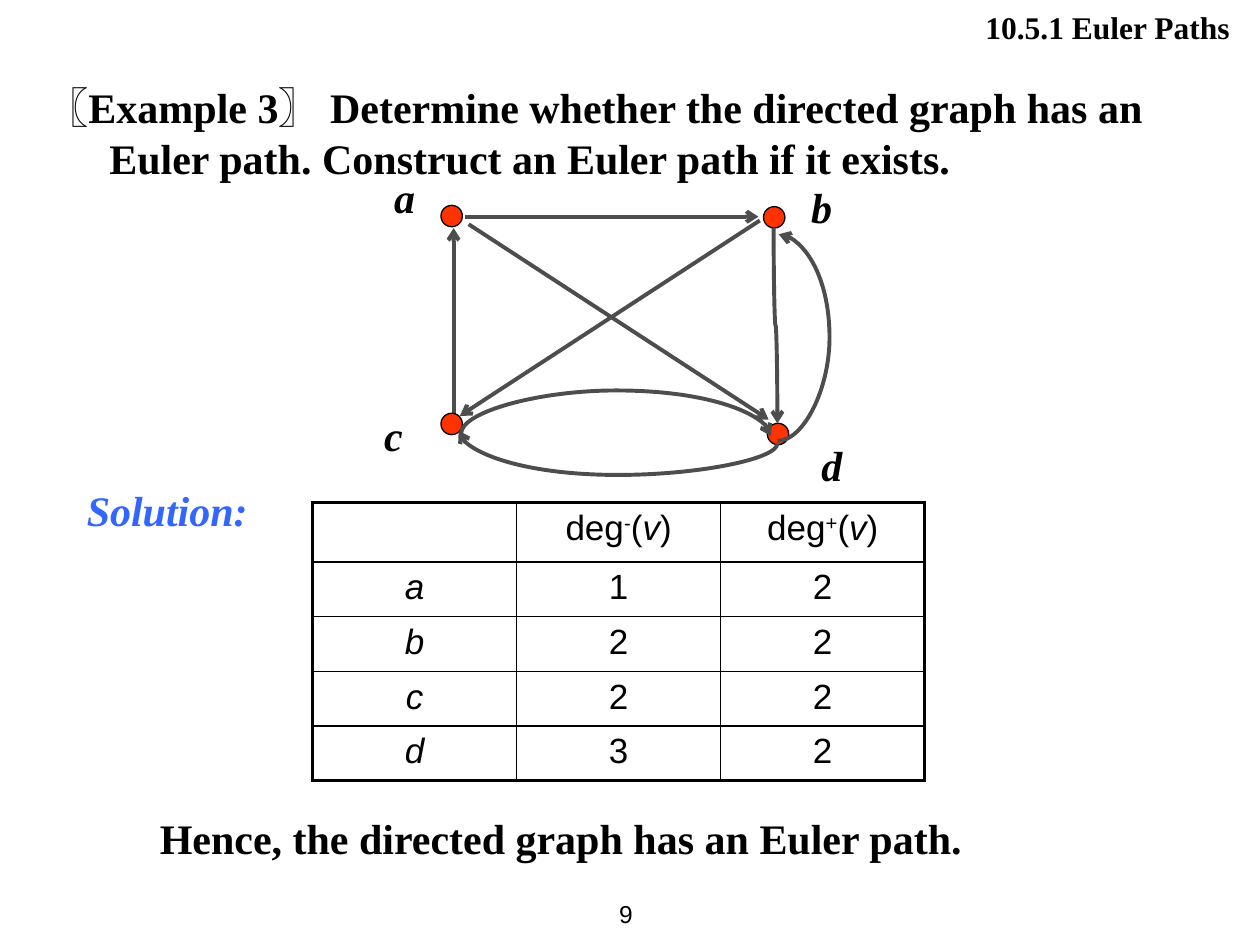
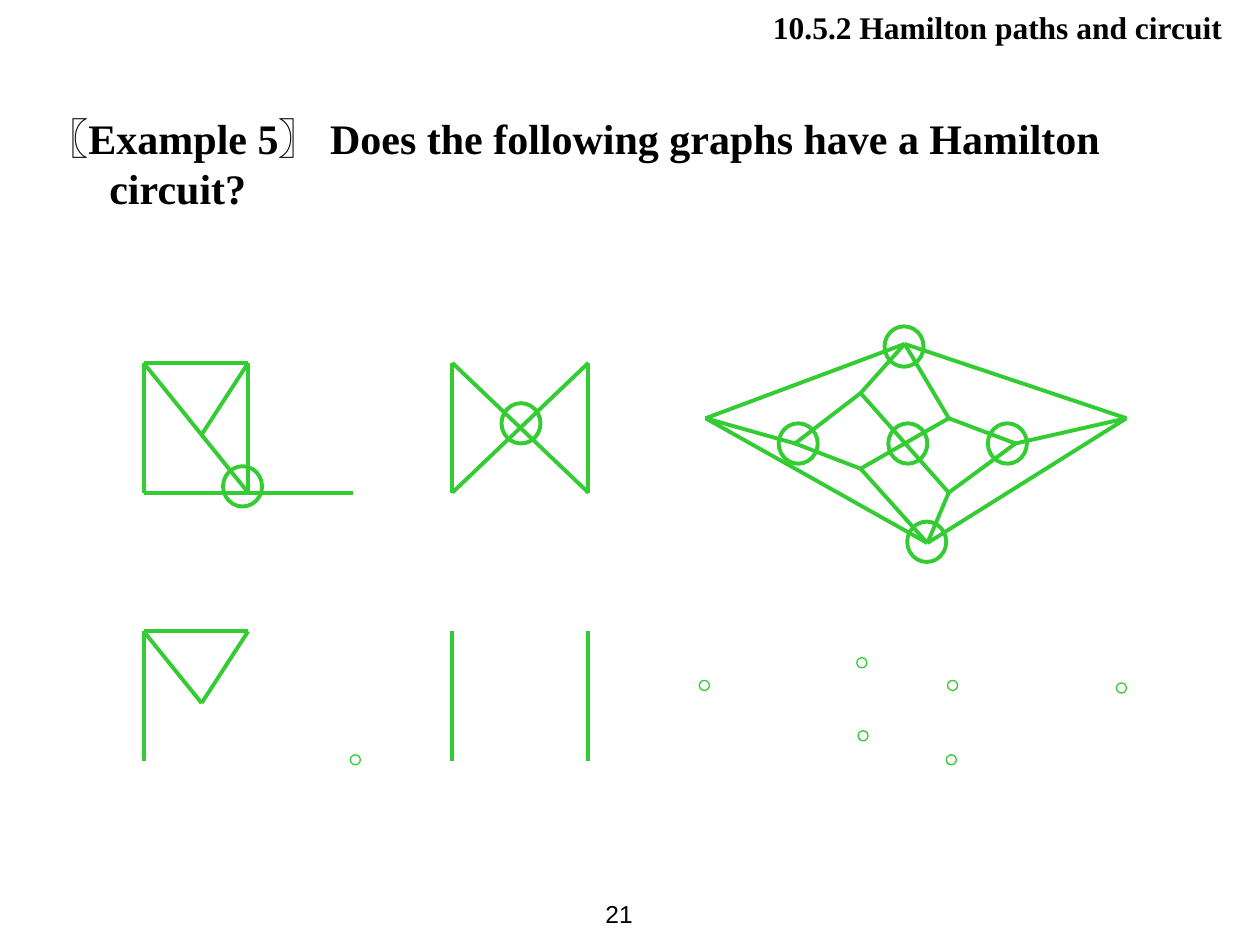
import pptx
import pptx.dml.color
import pptx.enum.shapes
import pptx.enum.text
import pptx.oxml
import pptx.oxml.ns
import pptx.util

PX = 9144  # 100 px to the inch
SERIF, SANS = "Times New Roman", "Arial"
BLACK, GREY, RED, BLUE, GREEN = "000000", "4D4D4D", "FF3300", "3366FF", "33CC33"
SHAPE = pptx.enum.shapes.MSO_SHAPE
CONNECTOR = pptx.enum.shapes.MSO_CONNECTOR
ALIGN = pptx.enum.text.PP_ALIGN
ANCHOR = pptx.enum.text.MSO_ANCHOR


def px(n):
    return pptx.util.Emu(round(n * PX))


def rgb(value):
    return pptx.dml.color.RGBColor.from_string(value)


def add_xml(parent, xml):
    """Append a DrawingML element given without its namespace."""
    tag, _, rest = xml.partition(" ")
    ns = pptx.oxml.ns.nsdecls("a")
    parent.append(pptx.oxml.parse_xml(f"<a:{tag} {ns} {rest}"))


class Deck:
    """Holds the presentation, the current slide and the shared style."""

    def __init__(self):
        self.prs = pptx.Presentation()
        self.prs.slide_width, self.prs.slide_height = px(1000), px(750)
        self.s = None

    def add_slide(self, title, number, right_inset):
        self.s = self.prs.slides.add_slide(self.prs.slide_layouts[5])
        sp = self.s.shapes.title
        sp.left, sp.top, sp.width, sp.height = map(px, (398, 1, 594, 40))
        tf = sp.text_frame
        tf.auto_size = pptx.enum.text.MSO_AUTO_SIZE.NONE
        tf.vertical_anchor = ANCHOR.TOP
        tf.margin_right = px(right_inset)
        self.add_runs(tf, [(title, {"bold": True})], 18, ALIGN.RIGHT)
        self.text((445, 700, 67, 50), [(str(number), {"font": SANS})], 14,
                  ALIGN.RIGHT, anchor=ANCHOR.MIDDLE)

    def add_runs(self, tf, runs, size, align=ALIGN.LEFT):
        p = tf.paragraphs[0]
        p.alignment = align
        for text, style in runs:
            r = p.add_run()
            r.text = text
            r.font.name = style.get("font", SERIF)
            r.font.size = pptx.util.Pt(size)
            r.font.bold = style.get("bold", False)
            r.font.italic = style.get("italic", False)
            r.font.color.rgb = rgb(style.get("color", BLACK))
            if style.get("raised"):
                r.font._element.set("baseline", "30000")
        return p

    def text(self, box, runs, size=24, align=ALIGN.LEFT, anchor=ANCHOR.TOP,
             margin=0, indent=0):
        tf = self.s.shapes.add_textbox(*map(px, box)).text_frame
        tf.word_wrap = True
        tf.vertical_anchor = anchor
        p = self.add_runs(tf, runs, size, align)
        if margin:
            pPr = p._p.get_or_add_pPr()
            pPr.set("marL", str(px(margin)))
            pPr.set("indent", str(px(indent)))

    def example(self, top, number, question):
        self.text((27, top, 914, 90),
                  [("〖", {"font": SANS, "bold": True}),
                   (f"Example {number}", {"bold": True}),
                   ("〗 ", {"font": SANS, "bold": True}),
                   (question, {"bold": True})], margin=50, indent=-50)

    def connector(self, kind, start, end, color, arrow):
        c = self.s.shapes.add_connector(kind, *map(px, start + end))
        c.line.color.rgb = rgb(color)
        c.line.width = pptx.util.Pt(2.25)
        if arrow:
            add_xml(c.line._get_or_add_ln(), 'tailEnd type="arrow"/>')
        add_xml(c._element.spPr, "effectLst />")
        return c

    def line(self, start, end, color=GREEN, arrow=False):
        self.connector(CONNECTOR.STRAIGHT, start, end, color, arrow)

    def curve(self, start, end, bulge, upright):
        """Curved arrow bending at y = bulge if upright, else at x = bulge."""
        axis = 1 if upright else 0
        adj = (bulge - start[axis]) / (end[axis] - start[axis])
        rotation = 0
        if upright:
            rotation = 270
            cx, cy = (start[0] + end[0]) / 2, (start[1] + end[1]) / 2
            half_x, half_y = (start[1] - end[1]) / 2, (end[0] - start[0]) / 2
            start = (cx - half_x, cy - half_y)
            end = (cx + half_x, cy + half_y)
        c = self.connector(CONNECTOR.CURVE, start, end, GREY, True)
        spPr = c._element.spPr
        spPr.find(pptx.oxml.ns.qn("a:xfrm")).set("rot", str(rotation * 60000))
        av = spPr.find(pptx.oxml.ns.qn("a:prstGeom")).get_or_add_avLst()
        add_xml(av, f'gd name="adj1" fmla="val {round(adj * 100000)}"/>')

    def round(self, box, line=GREEN, width=2.25, fill=None, kind=SHAPE.OVAL):
        sp = self.s.shapes.add_shape(kind, *map(px, box))
        sp.shadow.inherit = False
        if fill:
            sp.fill.solid()
            sp.fill.fore_color.rgb = rgb(fill)
        else:
            sp.fill.background()
        sp.line.color.rgb = rgb(line)
        sp.line.width = pptx.util.Pt(width)

    def table(self, left, top, col_width, row_heights, rows):
        n_rows, n_cols = len(rows), len(rows[0])
        table = self.s.shapes.add_table(
            n_rows, n_cols, px(left), px(top),
            px(col_width * n_cols), px(sum(row_heights))).table
        table.first_row = table.horz_banding = False
        for col in table.columns:
            col.width = px(col_width)
        for i, row in enumerate(rows):
            table.rows[i].height = px(row_heights[i])
            for j, runs in enumerate(row):
                cell = table.cell(i, j)
                self.add_runs(cell.text_frame, runs, 20, ALIGN.CENTER)
                outer = {"lnL": j == 0, "lnR": j == n_cols - 1,
                         "lnT": i == 0, "lnB": i == n_rows - 1}
                tcPr = cell._tc.get_or_add_tcPr()
                for side, is_outer in outer.items():
                    width = pptx.util.Pt(2.25 if is_outer else 1)
                    add_xml(tcPr, f'{side} w="{width}"><a:solidFill><a:srgbClr '
                                  f'val="{BLACK}"/></a:solidFill></a:{side}>')
                cell.fill.background()


def euler_slide(deck):
    deck.add_slide("10.5.1 Euler Paths", 9, 16)
    deck.example(60, 3, "Determine whether the directed graph has an Euler path. "
                        "Construct an Euler path if it exists.")

    for start, end in [((360, 331), (360, 181)), ((369, 172), (602, 172)),
                       ((603, 175), (365, 330)), ((372, 178), (610, 333))]:
        deck.line(start, end, GREY, arrow=True)
    for left, top in [(606, 164), (350, 163), (350, 328), (609, 336)]:
        deck.round((left, top, 17, 17), BLACK, 0.75, RED, SHAPE.FLOWCHART_CONNECTOR)
    deck.curve((617, 352), (364, 342), 377, upright=True)
    deck.curve((366, 344), (612, 346), 310, upright=True)
    deck.curve((617, 350), (618, 186), 659, upright=False)
    deck.curve((614, 181), (617, 336), 258, upright=True)
    for name, left, top in [("a", 303, 131), ("b", 634, 139),
                            ("c", 295, 320), ("d", 642, 344)]:
        deck.text((left, top, 37, 33), [(name, {"bold": True, "italic": True})])

    plain, italic = {"font": SANS}, {"font": SANS, "italic": True}
    raised = {"font": SANS, "raised": True}
    header = [[]] + [[("deg", plain), (sign, raised), ("(", plain),
                      ("v", italic), (")", plain)] for sign in "-+"]
    degrees = [("a", 1, 2), ("b", 2, 2), ("c", 2, 2), ("d", 3, 2)]
    body = [[[(v, italic)], [(str(d_in), plain)], [(str(d_out), plain)]]
            for v, d_in, d_out in degrees]
    deck.table(248, 399, 162, [47] + [43] * 4, [header] + body)

    deck.text((67, 640, 886, 50),
              [("Hence, the directed graph has an Euler path.", {"bold": True})],
              margin=50)
    deck.text((59, 380, 835, 50),
              [("Solution:", {"bold": True, "italic": True, "color": BLUE})])


def hamilton_slide(deck):
    deck.add_slide("10.5.2 Hamilton paths and circuit", 21, 22)
    deck.example(84, 5, "Does the following graphs have a Hamilton circuit?")

    # Bow tie
    tl, bl, tr, br = (359, 288), (359, 391), (467, 288), (467, 391)
    bow_sides = [(tl, bl), (tr, br)]
    bow_cross = [(bl, tr), (tl, br)]

    # Diamond around an inner quadrilateral
    north, south, west, east = (718, 273), (736, 431), (560, 332), (894, 332)
    nw, ne, sw, se = (683, 312), (753, 332), (683, 372), (753, 391)
    mid_w, mid_e = (631, 352), (806, 352)
    diamond = [(north, nw), (se, south), (north, ne), (ne, mid_e), (mid_w, sw),
               (sw, south), (ne, sw), (nw, se), (north, west), (west, mid_w),
               (west, south), (north, east), (mid_e, east), (mid_w, nw),
               (mid_e, se), (south, east)]

    # Square with a tail
    tl, bl, tr, br = (114, 288), (114, 391), (197, 288), (197, 391)
    inner, tail = (160, 345), (280, 391)
    flag = [(tl, bl), (tl, tr), (tr, inner)]
    rest_of_square = [(tr, br), (bl, tail), (tl, br)]

    for start, end in bow_sides + bow_cross + diamond + flag + rest_of_square:
        deck.line(start, end)
    for left, top in [(177, 370), (398, 320), (702, 259), (618, 336),
                      (705, 336), (784, 336), (720, 414)]:
        deck.round((left, top, 31, 32))

    # What remains once the circled vertices are removed
    drop = 213
    for (x1, y1), (x2, y2) in bow_sides + flag + [(tl, inner)]:
        deck.line((x1, y1 + drop), (x2, y2 + drop))
    for left, top in [(278, 599), (680, 522), (681, 580), (752, 540),
                      (751, 599), (555, 540), (886, 542)]:
        deck.round((left, top, 8, 8), width=0.75)


def main():
    deck = Deck()
    euler_slide(deck)
    hamilton_slide(deck)
    deck.prs.save("out.pptx")


if __name__ == "__main__":
    main()
